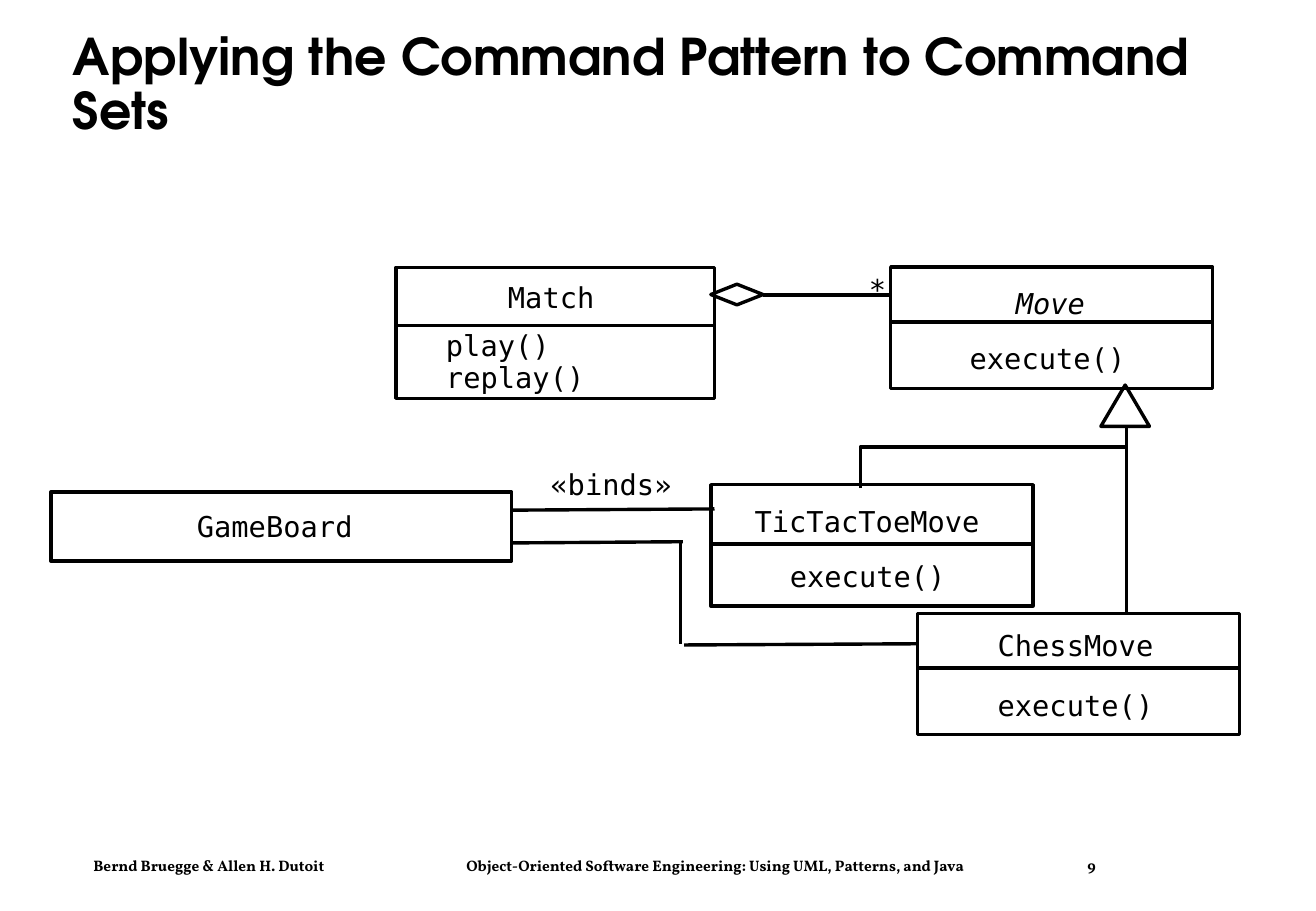
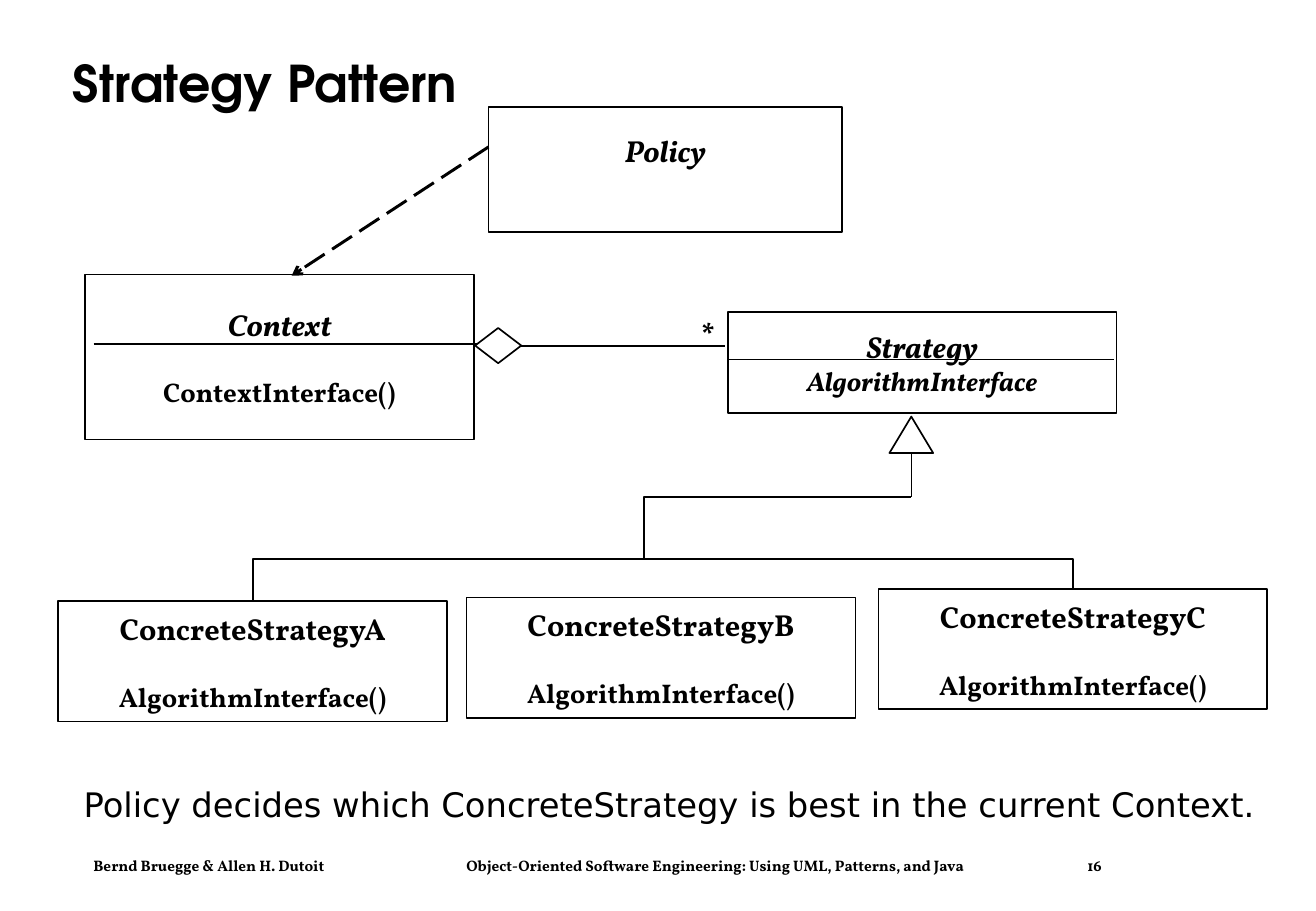
"""Build two slides on the Command and Strategy design patterns."""
from dataclasses import dataclass

from lxml import etree
from pptx import Presentation
from pptx.dml.color import RGBColor
from pptx.enum.dml import MSO_LINE
from pptx.enum.shapes import MSO_CONNECTOR, MSO_SHAPE
from pptx.enum.text import MSO_ANCHOR, MSO_AUTO_SIZE, PP_ALIGN
from pptx.oxml.ns import qn
from pptx.util import Emu, Pt

PX = 9144
BLACK = RGBColor(0x00, 0x00, 0x00)
WHITE = RGBColor(0xFF, 0xFF, 0xFF)
TITLE_FONT = "TeX Gyre Adventor"
SERIF = "Vollkorn"
MONO = "DejaVu Sans Mono"
SANS = "DejaVu Sans"
LEFT, CENTER = PP_ALIGN.LEFT, PP_ALIGN.CENTER
TOP, MIDDLE = MSO_ANCHOR.TOP, MSO_ANCHOR.MIDDLE
RECT, DIAMOND = MSO_SHAPE.RECTANGLE, MSO_SHAPE.DIAMOND
TRIANGLE = MSO_SHAPE.ISOSCELES_TRIANGLE
STRAIGHT = MSO_CONNECTOR.STRAIGHT
LONG_DASH = MSO_LINE.LONG_DASH
NO_AUTOFIT = MSO_AUTO_SIZE.NONE
TITLE_ONLY = 5
MARGINS = (10, 5, 10, 5)
NO_MARGINS = (0, 0, 0, 0)
THICK, THIN = 2, 1
MONO_SIZE, MONO_ADVANCE, MONO_HEIGHT = 17, 14.2, 28
AUTHORS = "Bernd Bruegge & Allen H. Dutoit"
BOOK = "Object-Oriented Software Engineering: Using UML, Patterns, and Java"
FOOTER_TABS = (307, 818)


@dataclass(frozen=True)
class Label:
    """A line of monospaced text at a fixed place."""
    text: str
    left: int
    top: int
    italic: bool = False


@dataclass(frozen=True)
class ClassBox:
    """A class outline, with labels and an optional divider."""
    area: tuple[int, int, int, int]
    labels: tuple[Label, ...]
    divider: int | None = None


@dataclass(frozen=True)
class Role:
    """A pattern participant with a centred name and operation."""
    name: str
    area: tuple[int, int, int, int]
    operation: str = ""
    gap: int = 20
    name_italic: bool = False
    operation_italic: bool = False
    margins: tuple[int, int, int, int] = MARGINS


COMMAND_CLASSES = (
    ClassBox((42, 405, 379, 57), (Label("GameBoard", 162, 419),)),
    ClassBox((585, 399, 265, 100),
             (Label("TicTacToeMove", 621, 415), Label("execute()", 650, 460)), 448),
    ClassBox((755, 505, 265, 100),
             (Label("ChessMove", 821, 517), Label("execute()", 821, 566)), 550),
    ClassBox((733, 220, 265, 100),
             (Label("Move", 836, 235, True), Label("execute()", 798, 281)), 265),
    ClassBox((326, 220, 262, 108),
             (Label("Match", 418, 230), Label("play()", 367, 270),
              Label("replay()", 367, 296)), 268),
)
COMMAND_NOTES = (Label("«binds»", 453, 384), Label("*", 715, 224))
COMMAND_LINKS = (
    ((628, 243), (733, 243)),
    ((927, 368), (927, 351)),
    ((588, 419), (420, 420)),
    ((562, 446), (422, 447)),
    ((560, 447), (560, 530)),
    ((754, 530), (563, 531)),
)
STRATEGY_ROLES = (
    Role("Context", (70, 226, 320, 136), "ContextInterface()", name_italic=True),
    Role("Strategy", (599, 257, 320, 83), "AlgorithmInterface", 0, True, True),
    Role("Policy", (402, 88, 291, 103), name_italic=True, margins=(10, 5, 10, 36)),
    *(Role(f"ConcreteStrategy{letter}", (left, top, 320, 99), "AlgorithmInterface()")
      for letter, left, top in (("A", 48, 495), ("B", 384, 492), ("C", 723, 485))),
)
STRATEGY_LINKS = (
    ((77, 283), (395, 283)),
    ((600, 296), (917, 296)),
    ((428, 285), (597, 285)),
    ((750, 373), (750, 409)),
)
STRATEGY_BRANCHES = (
    ((208, 495), (208, 460), (883, 460), (883, 485)),
    ((530, 460), (530, 409), (750, 409)),
)


def emu(*lengths: float) -> list[Emu]:
    """Turn px lengths into EMU."""
    return [Emu(round(length * PX)) for length in lengths]


def set_frame(frame, *, margins=MARGINS, anchor=TOP, wrap=True) -> None:
    """Set the margins, anchor and wrapping of a text frame."""
    frame.auto_size = NO_AUTOFIT
    frame.word_wrap = wrap
    frame.vertical_anchor = anchor
    (frame.margin_left, frame.margin_top,
     frame.margin_right, frame.margin_bottom) = emu(*margins)


def write(frame, text: str, *, size: float, font: str, bold=False, italic=False,
          align=LEFT, gap=0, spacing=None, tabs=()) -> None:
    """Add one formatted paragraph to a text frame."""
    paragraph = frame.add_paragraph() if frame.text else frame.paragraphs[0]
    if tabs:
        properties = paragraph._p.get_or_add_pPr()
        tab_list = etree.SubElement(properties, qn("a:tabLst"))
        for position in emu(*tabs):
            etree.SubElement(tab_list, qn("a:tab"), pos=str(position), algn="l")
    paragraph.alignment = align
    if spacing:
        paragraph.line_spacing = spacing
    if gap:
        paragraph.space_before = Pt(gap)
    run = paragraph.add_run()
    run.text = text
    run.font.size = Pt(size)
    run.font.name = font
    run.font.bold = bold
    run.font.italic = italic
    run.font.color.rgb = BLACK


def add_text(slide, area, text: str, *, margins=MARGINS, wrap=True, **style) -> None:
    """Add a text box with one paragraph."""
    frame = slide.shapes.add_textbox(*emu(*area)).text_frame
    set_frame(frame, margins=margins, wrap=wrap)
    write(frame, text, **style)


def outline(shape, width: float, filled: bool) -> None:
    """Give a shape a black outline and a white or empty fill."""
    shape.shadow.inherit = False
    shape.line.color.rgb = BLACK
    shape.line.width = Pt(width)
    if filled:
        shape.fill.solid()
        shape.fill.fore_color.rgb = WHITE
    else:
        shape.fill.background()


def add_outlined(slide, preset, area, width: float, filled=True):
    """Add an outlined preset shape."""
    shape = slide.shapes.add_shape(preset, *emu(*area))
    outline(shape, width, filled)
    return shape


def add_line(slide, start, end, width: float, dash=None, arrow=False) -> None:
    """Add a straight black connector."""
    link = slide.shapes.add_connector(STRAIGHT, *emu(*start, *end))
    link.line.color.rgb = BLACK
    link.line.width = Pt(width)
    if dash:
        link.line.dash_style = dash
    if arrow:
        etree.SubElement(link.line._get_or_add_ln(), qn("a:tailEnd"), type="arrow")
    etree.SubElement(link._element.spPr, qn("a:effectLst"))


def add_branch(slide, points, width: float) -> None:
    """Add an open line with right-angled bends."""
    builder = slide.shapes.build_freeform(*points[0], scale=PX)
    builder.add_line_segments(points[1:], close=False)
    outline(builder.convert_to_shape(), width, False)


def add_label(slide, label: Label) -> None:
    """Add a monospaced label as wide as its text."""
    area = (label.left, label.top, MONO_ADVANCE * len(label.text), MONO_HEIGHT)
    add_text(slide, area, label.text, margins=NO_MARGINS, wrap=False,
             size=MONO_SIZE, font=MONO, italic=label.italic)


def add_class(slide, box: ClassBox) -> None:
    """Draw a class outline with its divider and labels."""
    add_outlined(slide, RECT, box.area, THICK, filled=False)
    left, _, width, _ = box.area
    if box.divider:
        add_line(slide, (left, box.divider), (left + width, box.divider), THICK)
    for label in box.labels:
        add_label(slide, label)


def add_role(slide, role: Role) -> None:
    """Draw a pattern participant."""
    frame = add_outlined(slide, RECT, role.area, THIN).text_frame
    set_frame(frame, margins=role.margins, anchor=MIDDLE, wrap=False)
    write(frame, role.name, size=18, font=SERIF, bold=True,
          italic=role.name_italic, align=CENTER)
    if role.operation:
        write(frame, role.operation, size=16, font=SERIF, bold=True,
              italic=role.operation_italic, align=CENTER, gap=role.gap)


def add_slide(deck, title: str, number: int):
    """Add a slide with the shared title style and footer."""
    slide = deck.slides.add_slide(deck.slide_layouts[TITLE_ONLY])
    heading = slide.shapes.title
    heading.left, heading.top, heading.width, heading.height = emu(50, 24, 966, 94)
    set_frame(heading.text_frame, anchor=MIDDLE)
    write(heading.text_frame, title, size=30, font=TITLE_FONT, bold=True, spacing=0.9)
    add_text(slide, (67, 700, 917, 25), f"{AUTHORS}\t{BOOK}\t{number}",
             size=9, font=SERIF, bold=True, tabs=FOOTER_TABS)
    return slide


def build_command_slide(deck) -> None:
    """Build the class diagram of the Command pattern."""
    slide = add_slide(deck, "Applying the Command Pattern to Command Sets", 9)
    for box in COMMAND_CLASSES:
        add_class(slide, box)
    for note in COMMAND_NOTES:
        add_label(slide, note)
    add_branch(slide, ((708, 402), (708, 368), (927, 368), (927, 505)), THICK)
    for start, end in COMMAND_LINKS:
        add_line(slide, start, end, THICK)
    add_outlined(slide, TRIANGLE, (906, 317, 40, 34), THICK, filled=False)
    add_outlined(slide, DIAMOND, (585, 234, 43, 17), THICK)


def build_strategy_slide(deck) -> None:
    """Build the class diagram of the Strategy pattern."""
    slide = add_slide(deck, "Strategy Pattern", 16)
    for role in STRATEGY_ROLES:
        add_role(slide, role)
    for start, end in STRATEGY_LINKS:
        add_line(slide, start, end, THIN)
    for points in STRATEGY_BRANCHES:
        add_branch(slide, points, THIN)
    add_outlined(slide, DIAMOND, (391, 270, 38, 29), THIN)
    add_outlined(slide, TRIANGLE, (732, 343, 36, 30), THIN)
    add_line(slide, (402, 121), (240, 227), 1.75, dash=LONG_DASH, arrow=True)
    add_text(slide, (567, 255, 31, 40), "*", wrap=False, size=18, font=SERIF, bold=True)
    add_text(slide, (59, 640, 993, 44),
             "Policy decides which ConcreteStrategy is best in the current Context.",
             size=20, font=SANS)


def main() -> None:
    """Build and save the deck."""
    deck = Presentation()
    deck.slide_width, deck.slide_height = emu(1083, 750)
    build_command_slide(deck)
    build_strategy_slide(deck)
    deck.save("out.pptx")


if __name__ == "__main__":
    main()
